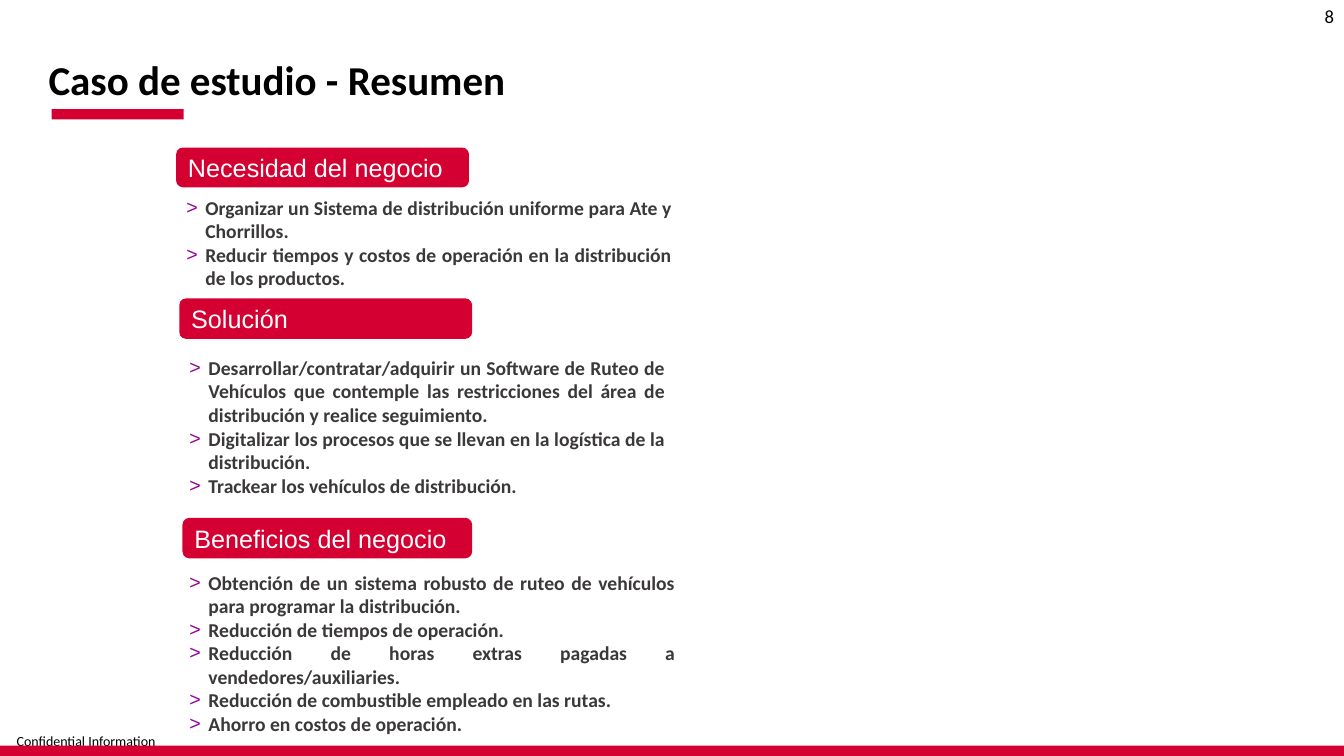
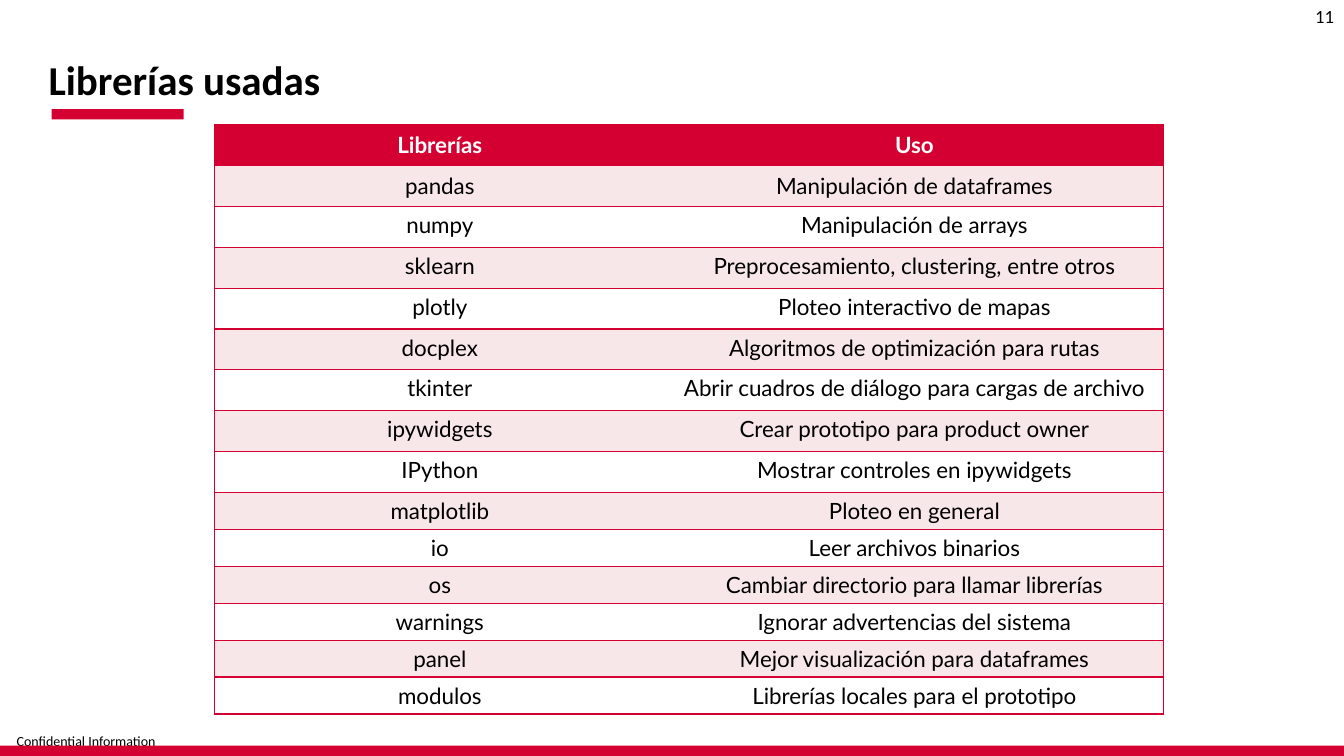
from dataclasses import dataclass

from lxml import etree
from pptx import Presentation
from pptx.dml.color import RGBColor
from pptx.enum.shapes import MSO_SHAPE
from pptx.enum.text import MSO_ANCHOR, MSO_AUTO_SIZE, PP_ALIGN
from pptx.oxml.ns import qn
from pptx.util import Cm, Pt

RED = RGBColor(0xD5, 0x00, 0x32)
PINK = RGBColor(0xF7, 0xE7, 0xE8)
PURPLE = RGBColor(0x99, 0x00, 0x99)
GRAY = RGBColor(0x3B, 0x38, 0x38)
BLACK = RGBColor(0, 0, 0)
WHITE = RGBColor(255, 255, 255)

RECTANGLE, ROUNDED = MSO_SHAPE.RECTANGLE, MSO_SHAPE.ROUNDED_RECTANGLE
LEFT, CENTER, RIGHT, JUSTIFY = (
    PP_ALIGN.LEFT, PP_ALIGN.CENTER, PP_ALIGN.RIGHT, PP_ALIGN.JUSTIFY)
TOP, MIDDLE, BOTTOM = MSO_ANCHOR.TOP, MSO_ANCHOR.MIDDLE, MSO_ANCHOR.BOTTOM
NO_AUTOFIT = MSO_AUTO_SIZE.NONE

SLIDE_WIDTH, SLIDE_HEIGHT = 33.87, 19.05
COMPARISON_LAYOUT, TITLE_ONLY_LAYOUT = 4, 5


@dataclass(frozen=True)
class Box:
    """Place and size in centimetres."""
    left: float
    top: float
    width: float
    height: float

    def lengths(self) -> tuple:
        return Cm(self.left), Cm(self.top), Cm(self.width), Cm(self.height)


@dataclass(frozen=True)
class TextStyle:
    font: str
    size: float
    color: RGBColor
    bold: bool = False
    align: PP_ALIGN = LEFT


@dataclass(frozen=True)
class Section:
    heading: str
    heading_box: Box
    points: tuple[str, ...]
    points_box: Box


TITLE = TextStyle("Calibri", 29.3, BLACK, bold=True)
PAGE_NUMBER = TextStyle("Calibri", 13.3, BLACK, align=RIGHT)
FOOTER = TextStyle("Calibri", 10, BLACK)
HEADING = TextStyle("Arial", 18, WHITE)
POINT = TextStyle("Calibri", 14, GRAY, bold=True, align=JUSTIFY)
TABLE_HEAD = TextStyle("Lato", 16, WHITE, bold=True, align=CENTER)
TABLE_BODY = TextStyle("Lato", 16, BLACK, align=CENTER)

SECTIONS = (
    Section("Necesidad del negocio", Box(4.44, 3.72, 7.38, 1), (
        "Organizar un Sistema de distribución uniforme para Ate y Chorrillos.",
        "Reducir tiempos y costos de operación en la distribución de los productos.",
    ), Box(4.44, 4.8, 12.75, 2.64)),
    Section("Solución", Box(4.52, 7.52, 7.38, 1.02), (
        "Desarrollar/contratar/adquirir un Software de Ruteo de Vehículos que "
        "contemple las restricciones del área de distribución y realice seguimiento.",
        "Digitalizar los procesos que se llevan en la logística de la distribución.",
        "Trackear los vehículos de distribución.",
    ), Box(4.52, 8.84, 12.5, 3.84)),
    Section("Beneficios del negocio", Box(4.6, 13.05, 7.3, 1.02), (
        "Obtención de un sistema robusto de ruteo de vehículos para programar "
        "la distribución.",
        "Reducción de tiempos de operación.",
        "Reducción de horas extras pagadas a vendedores/auxiliaries.",
        "Reducción de combustible empleado en las rutas.",
        "Ahorro en costos de operación.",
    ), Box(4.52, 14.25, 12.75, 4.44)),
)

LIBRARIES = (
    ("Librerías", "Uso"),
    ("pandas", "Manipulación de dataframes"),
    ("numpy", "Manipulación de arrays"),
    ("sklearn", "Preprocesamiento, clustering, entre otros"),
    ("plotly", "Ploteo interactivo de mapas"),
    ("docplex", "Algoritmos de optimización para rutas"),
    ("tkinter", "Abrir cuadros de diálogo para cargas de archivo"),
    ("ipywidgets", "Crear prototipo para product owner"),
    ("IPython", "Mostrar controles en ipywidgets"),
    ("matplotlib", "Ploteo en general"),
    ("io", "Leer archivos binarios"),
    ("os", "Cambiar directorio para llamar librerías"),
    ("warnings", "Ignorar advertencias del sistema"),
    ("panel", "Mejor visualización para dataframes"),
    ("modulos", "Librerías locales para el prototipo"),
)
COLUMN_WIDTHS = (11.35, 12.57)
TALL_ROWS, TALL_ROW, SHORT_ROW = 9, 1.03, 0.93
MIDDLE_ROWS = 2


def style_paragraph(paragraph, style: TextStyle) -> None:
    paragraph.alignment = style.align
    font = paragraph.font
    font.name, font.size, font.bold = style.font, Pt(style.size), style.bold
    font.color.rgb = style.color


def write(frame, text: str, style: TextStyle, anchor: MSO_ANCHOR = TOP) -> None:
    frame.word_wrap = True
    frame.auto_size = NO_AUTOFIT
    frame.vertical_anchor = anchor
    frame.text = text
    style_paragraph(frame.paragraphs[0], style)


def place(shape, box: Box) -> None:
    shape.left, shape.top, shape.width, shape.height = box.lengths()


def add_red_shape(slide, preset: MSO_SHAPE, box: Box):
    shape = slide.shapes.add_shape(preset, *box.lengths())
    shape.shadow.inherit = False
    shape.fill.solid()
    shape.fill.fore_color.rgb = RED
    shape.line.fill.background()
    return shape


def add_label(slide, text: str, box: Box, style: TextStyle,
              anchor: MSO_ANCHOR = TOP):
    frame = slide.shapes.add_textbox(*box.lengths()).text_frame
    write(frame, text, style, anchor)
    return frame


def add_slide(prs, layout: int, title: str, number: int):
    """Start a slide with the shared title, bands, footer and page number."""
    slide = prs.slides.add_slide(prs.slide_layouts[layout])
    footer = add_label(slide, "Confidential Information",
                       Box(0.42, 18.31, 4, 0.74), FOOTER, MIDDLE)
    footer.margin_left = footer.margin_right = 0
    footer.margin_top = footer.margin_bottom = 0
    add_red_shape(slide, RECTANGLE, Box(0, 18.79, SLIDE_WIDTH, 0.26))
    add_red_shape(slide, RECTANGLE, Box(1.3, 2.75, 3.33, 0.26))
    add_label(slide, str(number), Box(32.41, 0, 1.46, 1.02), PAGE_NUMBER)
    place(slide.shapes.title, Box(0.97, 0.38, 22.94, 2.36))
    write(slide.shapes.title.text_frame, title, TITLE, BOTTOM)
    return slide


def add_bullet(paragraph) -> None:
    properties = paragraph._p.get_or_add_pPr()
    properties.set("marL", str(Cm(0.48)))
    properties.set("indent", str(-Cm(0.48)))
    color = etree.SubElement(properties, qn("a:buClr"))
    etree.SubElement(color, qn("a:srgbClr"), val=str(PURPLE))
    etree.SubElement(properties, qn("a:buFont"), typeface="Arial")
    etree.SubElement(properties, qn("a:buChar"), char=">")
    tabs = etree.SubElement(properties, qn("a:tabLst"))
    etree.SubElement(tabs, qn("a:tab"), pos=str(Cm(0.46)), algn="l")


def draw_section(slide, section: Section, body) -> None:
    place(body, section.points_box)
    frame = body.text_frame
    frame.word_wrap = True
    frame.auto_size = NO_AUTOFIT
    frame.vertical_anchor = TOP
    frame.text = "\n".join(section.points)
    for paragraph in frame.paragraphs:
        add_bullet(paragraph)
        paragraph.space_before = Pt(0)
        style_paragraph(paragraph, POINT)
    heading = add_red_shape(slide, ROUNDED, section.heading_box)
    write(heading.text_frame, section.heading, HEADING, MIDDLE)


def set_borders(cell, is_first: bool, is_last: bool) -> None:
    sides = {"L": is_first, "R": is_last, "T": True, "B": True}
    for side, visible in sides.items():
        line = etree.SubElement(cell._tc.get_or_add_tcPr(), qn(f"a:ln{side}"),
                                w=str(Pt(1)))
        if visible:
            fill = etree.SubElement(line, qn("a:solidFill"))
            etree.SubElement(fill, qn("a:srgbClr"), val=str(RED))
        else:
            etree.SubElement(line, qn("a:noFill"))


def build_summary(prs) -> None:
    slide = add_slide(prs, COMPARISON_LAYOUT, "Caso de estudio - Resumen", 8)
    _, *bodies = slide.placeholders
    for section, body in zip(SECTIONS, bodies):
        draw_section(slide, section, body)
    # The layout offers one body more than there are sections
    for spare in bodies[len(SECTIONS):]:
        spare.element.getparent().remove(spare.element)


def build_libraries(prs) -> None:
    slide = add_slide(prs, TITLE_ONLY_LAYOUT, "Librerías usadas", 11)
    heights = [TALL_ROW if row < TALL_ROWS else SHORT_ROW
               for row in range(len(LIBRARIES))]
    box = Box(5.41, 3.14, sum(COLUMN_WIDTHS), sum(heights))
    table = slide.shapes.add_table(
        len(LIBRARIES), len(COLUMN_WIDTHS), *box.lengths()).table
    table.first_row = table.horz_banding = False
    for column, width in zip(table.columns, COLUMN_WIDTHS):
        column.width = Cm(width)
    for r, (texts, height) in enumerate(zip(LIBRARIES, heights)):
        table.rows[r].height = Cm(height)
        for c, text in enumerate(texts):
            cell = table.cell(r, c)
            set_borders(cell, c == 0, c == len(texts) - 1)
            cell.fill.solid()
            cell.fill.fore_color.rgb = RED if r == 0 else PINK if r % 2 else WHITE
            cell.vertical_anchor = MIDDLE if r < MIDDLE_ROWS else TOP
            cell.text = text
            style_paragraph(cell.text_frame.paragraphs[0],
                            TABLE_BODY if r else TABLE_HEAD)


def main() -> None:
    prs = Presentation()
    prs.slide_width, prs.slide_height = Cm(SLIDE_WIDTH), Cm(SLIDE_HEIGHT)
    build_summary(prs)
    build_libraries(prs)
    prs.save("out.pptx")


if __name__ == "__main__":
    main()
